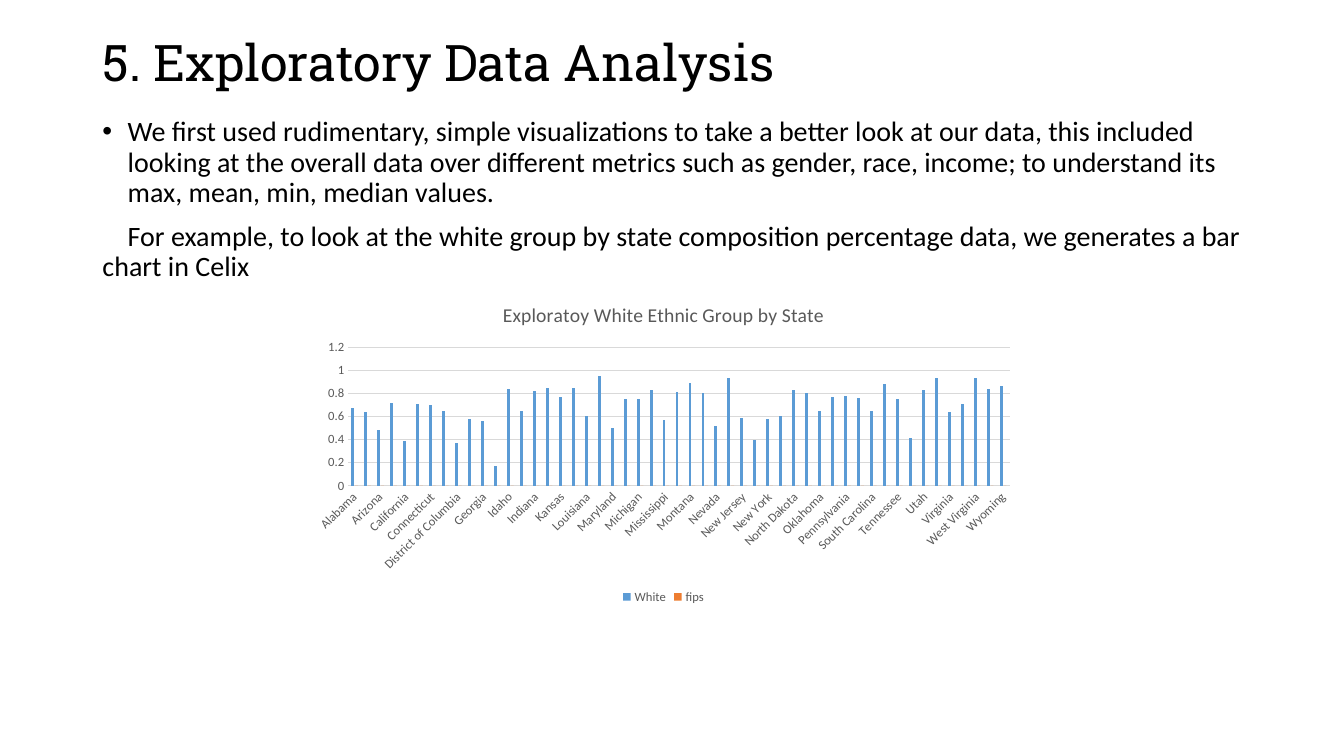
from pptx import Presentation
from pptx.chart.data import CategoryChartData
from pptx.dml.color import RGBColor
from pptx.enum.chart import XL_CHART_TYPE, XL_LEGEND_POSITION, XL_TICK_MARK
from pptx.enum.text import MSO_ANCHOR, MSO_AUTO_SIZE, PP_ALIGN
from pptx.util import Pt

HUES = {"ink": "000000", "note": "595959", "grid": "D9D9D9",
        "white": "5B9BD5", "fips": "ED7D31"}

TITLE = "5. Exploratory Data Analysis"
LINES = [
    "We first used rudimentary, simple visualizations to take a better look at "
    "our data, this included looking at the overall data over different metrics "
    "such as gender, race, income; to understand its max, mean, min, median values.",
    "For example, to look at the white group by state composition percentage "
    "data, we generates a bar chart in Celix",
]
HEAD = "Exploratoy White Ethnic Group by State"
RATES = {
    "Alabama": 0.67, "Alaska": 0.64, "Arizona": 0.48, "Arkansas": 0.72,
    "California": 0.39, "Colorado": 0.71, "Connecticut": 0.7, "Delaware": 0.65,
    "District of Columbia": 0.37, "Florida": 0.58, "Georgia": 0.56,
    "Hawaii": 0.17, "Idaho": 0.84, "Illinois": 0.65, "Indiana": 0.82,
    "Iowa": 0.85, "Kansas": 0.77, "Kentucky": 0.85, "Louisiana": 0.6,
    "Maine": 0.95, "Maryland": 0.5, "Massachusetts": 0.75, "Michigan": 0.75,
    "Minnesota": 0.83, "Mississippi": 0.57, "Missouri": 0.81, "Montana": 0.89,
    "Nebraska": 0.8, "Nevada": 0.52, "New Hampshire": 0.93, "New Jersey": 0.59,
    "New Mexico": 0.4, "New York": 0.58, "North Carolina": 0.6,
    "North Dakota": 0.83, "Ohio": 0.8, "Oklahoma": 0.65, "Oregon": 0.77,
    "Pennsylvania": 0.78, "Rhode Island": 0.76, "South Carolina": 0.65,
    "South Dakota": 0.88, "Tennessee": 0.75, "Texas": 0.41, "Utah": 0.83,
    "Vermont": 0.93, "Virginia": 0.64, "Washington": 0.71,
    "West Virginia": 0.93, "Wisconsin": 0.84, "Wyoming": 0.86,
}


def paint(item, form):
    for key, value in form.items():
        setattr(item, key, value)


def ink(font, size, hue, name="Calibri"):
    paint(font, {"size": Pt(size), "name": name, "bold": False})
    font.color.rgb = RGBColor.from_string(HUES[hue])


def rule(line):
    line.color.rgb = RGBColor.from_string(HUES["grid"])
    line.width = Pt(0.75)


def place(shape, box, anchor):
    paint(shape, dict(zip(("left", "top", "width", "height"), map(Pt, box))))
    paint(shape.text_frame, {"word_wrap": True, "vertical_anchor": anchor,
                             "auto_size": MSO_AUTO_SIZE.NONE})


def add_title(slide, box):
    shape = slide.shapes.title
    place(shape, box, MSO_ANCHOR.MIDDLE)
    para = shape.text_frame.paragraphs[0]
    para.text = TITLE
    paint(para, {"alignment": PP_ALIGN.LEFT, "line_spacing": 0.9})
    ink(para.runs[0].font, 36, "ink", "Roboto Slab")


def add_body(slide, box):
    shape = slide.placeholders[1]
    place(shape, box, MSO_ANCHOR.TOP)
    frame = shape.text_frame
    frame.text = "\n".join(LINES)
    for para, left, indent in zip(frame.paragraphs, (18, 0), (-18, 18)):
        paint(para, {"alignment": PP_ALIGN.LEFT, "line_spacing": 0.9,
                     "space_before": Pt(10)})
        props = para._p.get_or_add_pPr()
        props.set("marL", str(Pt(left)))
        props.set("indent", str(Pt(indent)))
        ink(para.runs[0].font, 20, "ink")
    first, second = (para._p.pPr for para in frame.paragraphs)
    mark = first.makeelement(first.tag.replace("pPr", "buChar"), {"char": "•"})
    first.append(mark)
    second.append(second.makeelement(second.tag.replace("pPr", "buNone"), {}))


def add_bars(slide, box):
    data = CategoryChartData()
    data.categories = list(RATES)
    data.add_series("White", list(RATES.values()))
    data.add_series("fips", [0] * len(RATES))
    chart = slide.shapes.add_chart(
        XL_CHART_TYPE.COLUMN_CLUSTERED, *map(Pt, box), data).chart
    ink(chart.font, 10, "ink")
    paint(chart, {"has_title": True, "has_legend": True})
    title = chart.chart_title
    title.include_in_layout = False
    title.text_frame.text = HEAD
    ink(title.text_frame.paragraphs[0].runs[0].font, 14, "note")
    paint(chart.legend, {"position": XL_LEGEND_POSITION.BOTTOM,
                         "include_in_layout": False})
    ink(chart.legend.font, 9, "note")

    plot = chart.plots[0]
    paint(plot, {"gap_width": 219, "overlap": -27, "vary_by_categories": False})
    for series in plot.series:
        series.invert_if_negative = False
        series.format.fill.solid()
        series.format.fill.fore_color.rgb = RGBColor.from_string(
            HUES[series.name.lower()])

    for axis in (chart.category_axis, chart.value_axis):
        paint(axis, {"major_tick_mark": XL_TICK_MARK.NONE,
                     "minor_tick_mark": XL_TICK_MARK.NONE})
        ink(axis.tick_labels.font, 9, "note")
    for part in chart._chartSpace.xpath(".//c:catAx/c:txPr/a:bodyPr"):
        part.set("rot", "-60000000")
    rule(chart.category_axis.format.line)
    scale = chart.value_axis
    paint(scale, {"minimum_scale": 0, "maximum_scale": 1.2, "major_unit": 0.2})
    scale.format.line.fill.background()
    rule(scale.major_gridlines.format.line)


def main():
    deck = Presentation()
    paint(deck, {"slide_width": Pt(960), "slide_height": Pt(540)})
    slide = deck.slides.add_slide(deck.slide_layouts[1])
    add_title(slide, (66, 12, 828, 68.5))
    add_body(slide, (66, 80.5, 828, 384.5))
    add_bars(slide, (216.5, 204, 515, 230.5))
    deck.save("out.pptx")


if __name__ == "__main__":
    main()
